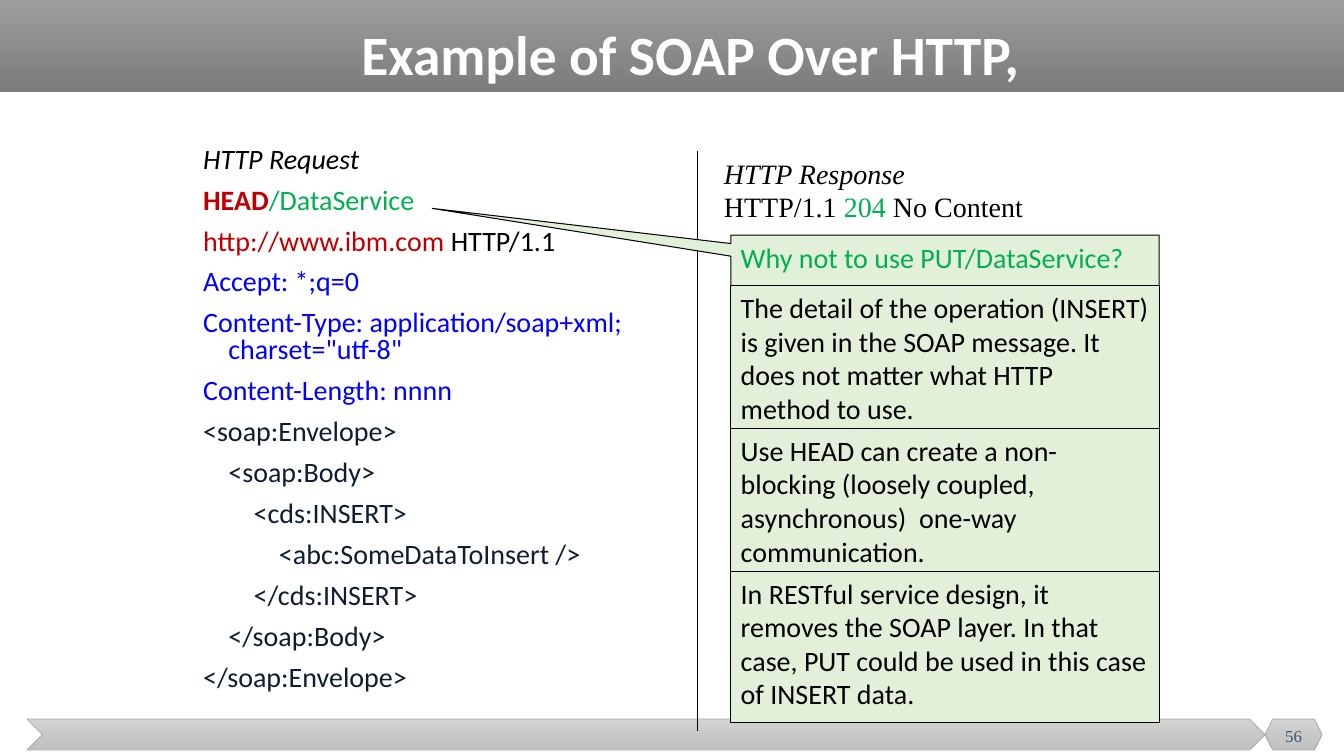
from dataclasses import dataclass, field

from lxml.etree import SubElement
from pptx import Presentation
from pptx.dml.color import RGBColor
from pptx.enum.shapes import MSO_CONNECTOR as Link, MSO_SHAPE as Kind
from pptx.enum.text import MSO_ANCHOR as Anchor, MSO_AUTO_SIZE as Fit, PP_ALIGN as Align
from pptx.oxml.ns import qn
from pptx.util import Inches, Pt

COLS, ROWS = 160, 90
UNIT = Inches(1) / 12
SANS, SERIF = "Calibri", "Times New Roman"
BLACK, WHITE, RED, GREEN, BLUE, NAVY = "000000", "FFFFFF", "C00000", "00B050", "0000FF", "101C32"
PALE, GRAY, SLATE = "E2F0D9", "A5A5A5", "44546A"


@dataclass
class Run:
    text: str
    ink: str = BLACK
    bold: bool = False
    slant: bool = False


@dataclass
class Box:
    col: float
    row: float
    wide: float
    high: float

    def place(self) -> list[int]:
        return [grid(n) for n in (self.col, self.row, self.wide, self.high)]


@dataclass
class Bar:
    kind: Kind
    box: Box
    shades: tuple[str, str]
    edge: str | None = None


@dataclass
class Note:
    text: str
    rows: int
    ink: str = BLACK
    kind: Kind = Kind.RECTANGLE
    tip: list[float] = field(default_factory=list)


def grid(count: float) -> int:
    return round(count * UNIT)


def tint(code: str) -> RGBColor:
    return RGBColor.from_string(code)


def write(shape, lines: list[list[Run]], *, font: str = SANS, size: float = 20,
          align: Align = Align.LEFT, anchor: Anchor = Anchor.TOP,
          lead: float = 1.0, gap: float = 0, hang: float = 0) -> None:
    frame = shape.text_frame
    frame.word_wrap, frame.auto_size = True, Fit.NONE
    frame.vertical_anchor = anchor
    for num, line in enumerate(lines):
        para = frame.add_paragraph() if num else frame.paragraphs[0]
        para.alignment, para.line_spacing = align, lead
        para.space_before = Pt(gap if num else 0)
        if hang:
            props = para._p.get_or_add_pPr()
            props.set("marL", str(grid(hang)))
            props.set("indent", str(-grid(hang)))
        for part in line:
            run = para.add_run()
            run.text = part.text
            face = run.font
            face.name, face.size = font, Pt(size)
            face.bold, face.italic = part.bold, part.slant
            face.color.rgb = tint(part.ink)


def draw(slide, bar: Bar) -> None:
    shape = slide.shapes.add_shape(bar.kind, *bar.box.place())
    shape.shadow.inherit = False
    shape.fill.gradient()
    shape.fill.gradient_angle = 270
    for stop, shade in zip(shape.fill.gradient_stops, bar.shades):
        stop.color.rgb = tint(shade)
    if bar.edge:
        shape.line.color.rgb, shape.line.width = tint(bar.edge), Pt(0.5)
    else:
        shape.line.fill.background()


def rule(slide, col: float, top: float, end: float) -> None:
    line = slide.shapes.add_connector(Link.STRAIGHT, grid(col), grid(top), grid(col), grid(end))
    line.line.color.rgb, line.line.width = tint(BLACK), Pt(0.75)
    SubElement(line._element.spPr, qn("a:effectLst"))


def post(slide, note: Note, row: float) -> None:
    shape = slide.shapes.add_shape(note.kind, *Box(87, row, 51, note.rows).place())
    shape.shadow.inherit = False
    shape.fill.solid()
    shape.fill.fore_color.rgb = tint(PALE)
    shape.line.color.rgb, shape.line.width = tint(BLACK), Pt(0.75)
    for num, value in enumerate(note.tip):
        shape.adjustments[num] = value
    write(shape, [[Run(note.text, note.ink)]])


def label(slide, box: Box, lines: list[list[Run]], **form) -> None:
    write(slide.shapes.add_textbox(*box.place()), lines, **form)


SILVER = ("D2D2D2", "C0C0C0")
BARS = [
    Bar(Kind.RECTANGLE, Box(0, 0, COLS, 10.95), ("9D9D9D", "7C7C7C")),
    Bar(Kind.CHEVRON, Box(3.2, 85.6, 147.4, 3.7), SILVER, GRAY),
    Bar(Kind.HEXAGON, Box(150.6, 85.6, 6.8, 3.7), SILVER, GRAY),
]
HEADS = ["Accept: *;q=0", 'Content-Type: application/soap+xml; charset="utf-8"', "Content-Length: nnnn"]
CODE = [
    "<soap:Envelope>",
    "    <soap:Body>",
    "        <cds:INSERT>",
    "            <abc:SomeDataToInsert />",
    "        </cds:INSERT>",
    "    </soap:Body>",
    "</soap:Envelope>",
]
ASK = [
    [Run("HTTP Request", slant=True)],
    [Run("HEAD", RED, bold=True), Run("/DataService", GREEN)],
    [Run("http://www.ibm.com ", RED), Run("HTTP/1.1")],
    *([Run(text, BLUE)] for text in HEADS),
    *([Run(text, NAVY)] for text in CODE),
]
REPLY = [
    [Run("HTTP Response", slant=True)],
    [Run("HTTP/1.1 "), Run("204", GREEN), Run(" No Content")],
]
NOTES = [
    Note("Why not to use PUT/DataService?", 6, GREEN, Kind.RECTANGULAR_CALLOUT, [-1.197, -1.032]),
    Note("The detail of the operation (INSERT) is given in the SOAP message. "
         "It does not matter what HTTP method to use.", 17),
    Note("Use HEAD can create a non-blocking (loosely coupled, asynchronous)  one-way communication.", 17),
    Note("In RESTful service design, it removes the SOAP layer. "
         "In that case, PUT could be used in this case of INSERT data.", 18),
]


def main() -> None:
    deck = Presentation()
    deck.slide_width, deck.slide_height = grid(COLS), grid(ROWS)
    slide = deck.slides.add_slide(deck.slide_layouts[5])
    for bar in BARS:
        draw(slide, bar)
    title = slide.shapes.title
    title.left, title.top, title.width, title.height = Box(31.2, 2.9, 102, 8).place()
    title.element.getparent().append(title.element)
    write(title, [[Run("Example of SOAP Over HTTP,", WHITE, bold=True)]],
          size=39.6, align=Align.CENTER, anchor=Anchor.MIDDLE, lead=0.9)
    label(slide, Box(23, 17, 60, 71), ASK, lead=0.8, gap=10, hang=3)
    label(slide, Box(150.6, 85.2, 6.8, 4.8), [[Run("56", SLATE)]],
          font=SERIF, size=12, align=Align.CENTER, anchor=Anchor.MIDDLE)
    label(slide, Box(85, 18, 53, 70), REPLY, font=SERIF)
    rule(slide, 83, 18, 87)
    row = 28
    for note in NOTES:
        post(slide, note, row)
        row += note.rows
    deck.save("out.pptx")


if __name__ == "__main__":
    main()
